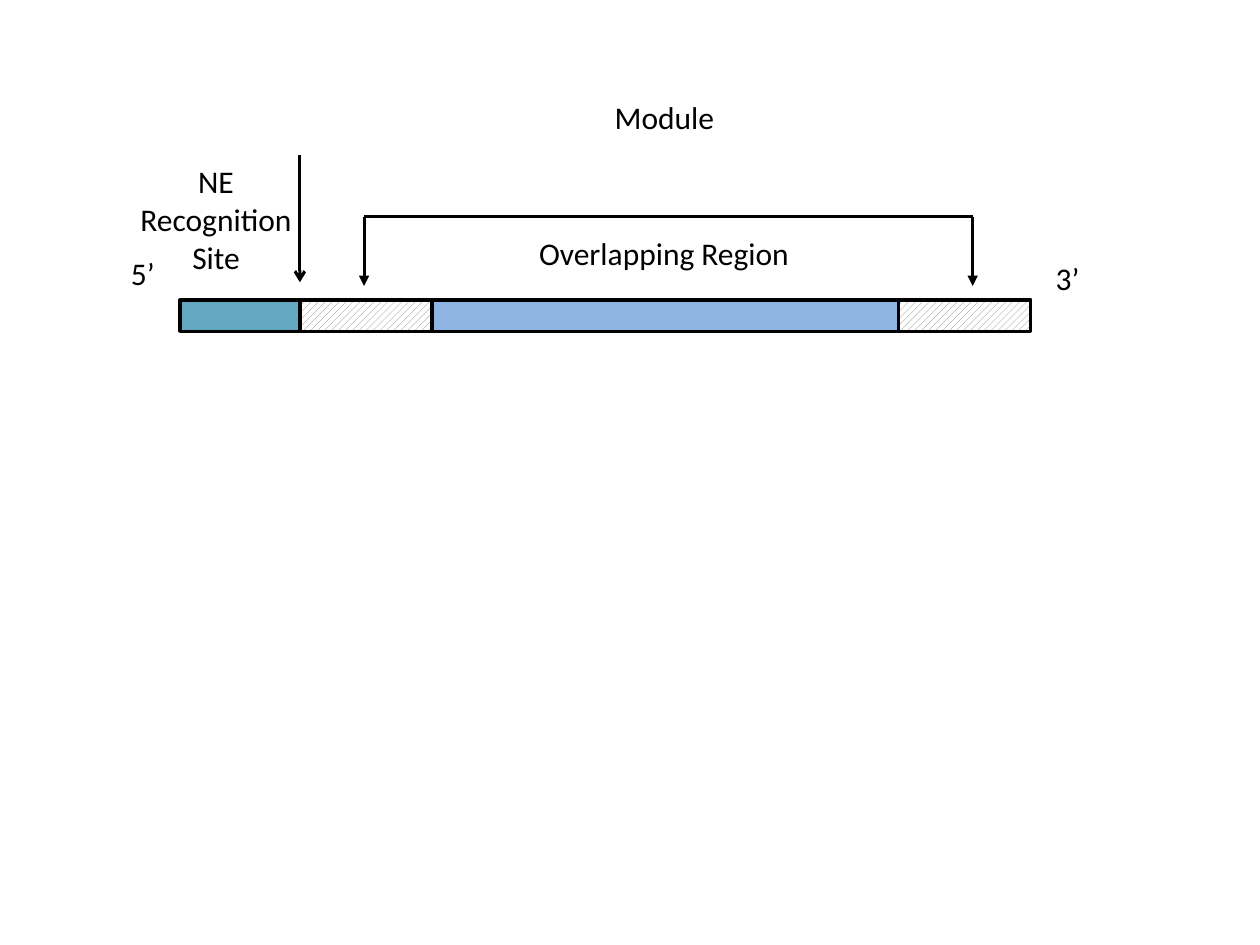
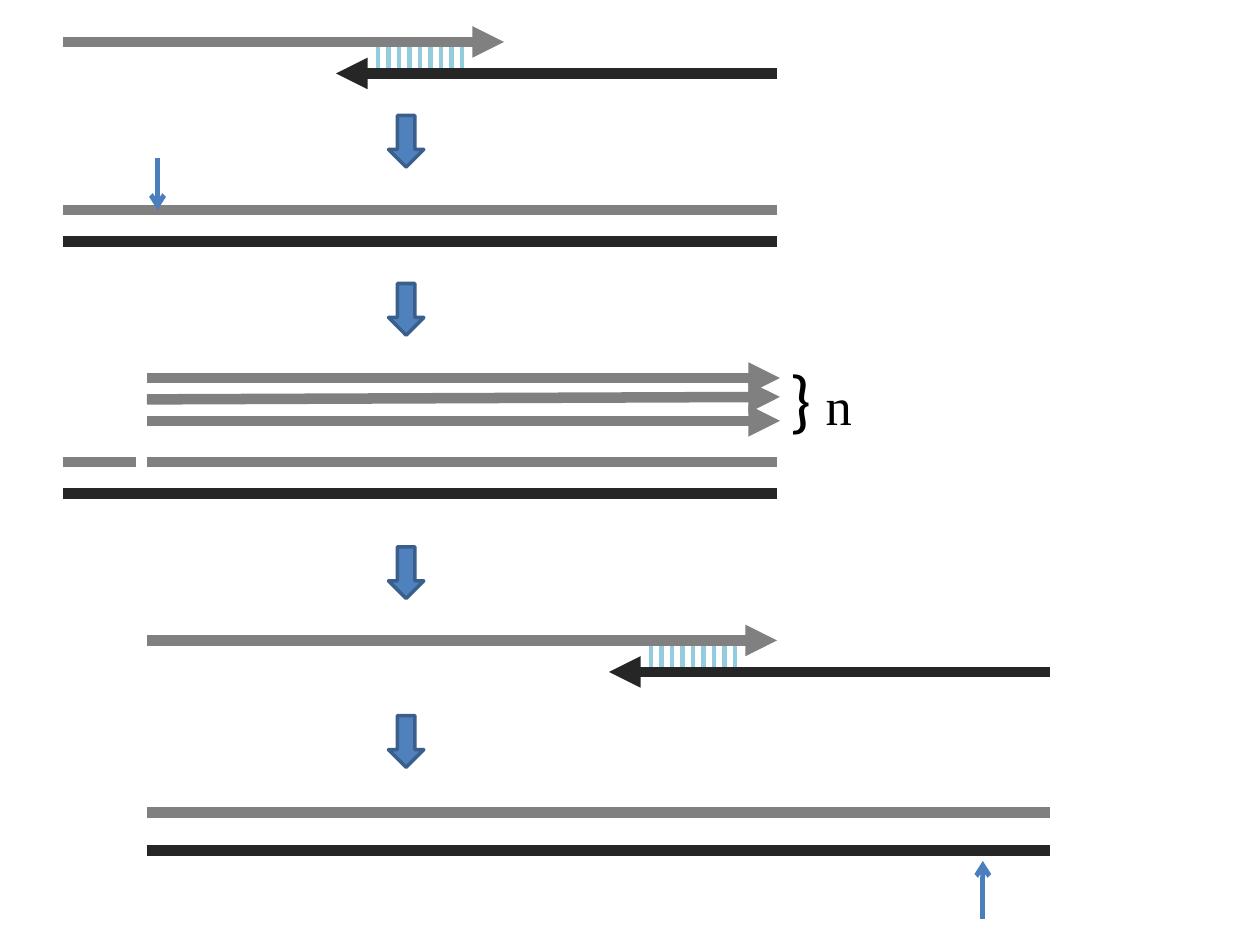
"""Build two slides on a gene module and its cyclic strand assembly."""
import dataclasses

import lxml.etree
import pptx
import pptx.dml.color
import pptx.enum.dml
import pptx.enum.shapes
import pptx.enum.text
import pptx.oxml.ns
import pptx.util


@dataclasses.dataclass(frozen=True)
class Theme:
    ink: str = "000000"
    paper: str = "FFFFFF"
    site: str = "63A8C0"
    region: str = "8EB4E3"
    sense: str = "808080"
    antisense: str = "262626"
    rung: str = "93CDDD"
    nick: str = "4B7EBC"
    step: str = "4F81BD"
    step_edge: str = "3A5F8C"
    font: str = "Calibri"
    serif: str = "Times New Roman"
    label_size: int = 18
    brace_size: int = 40
    gap_size: int = 36
    count_size: int = 30
    outline: float = 2
    pointer: float = 1.75
    strand: float = 6
    rung_width: float = 2.5
    nick_width: float = 2.75


theme = Theme()
rgb = pptx.dml.color.RGBColor.from_string
shapes = pptx.enum.shapes.MSO_SHAPE
center = pptx.enum.text.PP_ALIGN.CENTER

deck = pptx.Presentation()
deck.slide_width = pptx.util.Inches(10)
deck.slide_height = pptx.util.Inches(7.5)
columns = 120
cell = deck.slide_width / columns


def draw_line(page, start, end, color, width, head=None):
    ends = [round(value * cell) for value in (*start, *end)]
    line = page.shapes.add_connector(pptx.enum.shapes.MSO_CONNECTOR.STRAIGHT, *ends)
    line.line.color.rgb = rgb(color)
    line.line.width = pptx.util.Pt(width)
    if head:
        outline = line.line._get_or_add_ln()
        lxml.etree.SubElement(outline, pptx.oxml.ns.qn("a:tailEnd"), type=head)
    properties = line._element.spPr
    lxml.etree.SubElement(properties, pptx.oxml.ns.qn("a:effectLst"))


def write(page, place, lines, wrap=False, align=None):
    box = page.shapes.add_textbox(*[round(value * cell) for value in place])
    frame = box.text_frame
    frame.word_wrap = wrap
    frame.auto_size = pptx.enum.text.MSO_AUTO_SIZE.SHAPE_TO_FIT_TEXT
    frame.text = "\n".join(lines)
    for para in frame.paragraphs:
        para.alignment = align
        para.font.name = theme.font
        para.font.size = pptx.util.Pt(theme.label_size)
        para.font.color.rgb = rgb(theme.ink)
    return frame


page = deck.slides.add_slide(deck.slide_layouts[6])
bar_top, bar_height = 28.56, 3
site_end = 28.56
segments = [
    (17.16, 81, theme.site),
    (site_end, 69.6, None),
    (41.16, 44.4, theme.region),
]
for left, width, color in segments:
    place = [round(value * cell) for value in (left, bar_top, width, bar_height)]
    segment = page.shapes.add_shape(shapes.RECTANGLE, *place)
    segment.shadow.inherit = False
    if color:
        segment.fill.solid()
        segment.fill.fore_color.rgb = rgb(color)
    else:
        segment.fill.patterned()
        segment.fill.pattern = pptx.enum.dml.MSO_PATTERN.WIDE_UPWARD_DIAGONAL
        segment.fill.fore_color.rgb = rgb(theme.sense)
        segment.fill.back_color.rgb = rgb(theme.paper)
    segment.line.color.rgb = rgb(theme.ink)
    segment.line.width = pptx.util.Pt(theme.outline)

write(page, (57.36, 8.76, 12, 4.8), ["Module"], wrap=True)
write(page, (50.16, 21.72, 26.52, 4.8), ["Overlapping Region"])
write(page, (11.4, 14.88, 18.36, 12.12), ["NE", "Recognition Site"], wrap=True, align=center)
write(page, (11.28, 23.64, 4.68, 4.8), ["5’"])
write(page, (99.36, 24.12, 4.68, 4.8), ["3’"])

bracket_left, bracket_right, bracket_top, bracket_bottom = 34.68, 92.64, 20.64, 27.24
draw_line(page, (bracket_left, bracket_top), (bracket_right, bracket_top), theme.ink, theme.pointer)
for column in (bracket_left, bracket_right):
    draw_line(page, (column, bracket_top), (column, bracket_bottom), theme.ink, theme.pointer, "triangle")
draw_line(page, (site_end, 14.76), (site_end, 26.88), theme.ink, theme.pointer, "arrow")

page = deck.slides.add_slide(deck.slide_layouts[6])
for first_column, row in ((36, 4), (62, 61)):
    for column in range(first_column, first_column + 9):
        draw_line(page, (column, row), (column, row + 3), theme.rung, theme.rung_width)

strands = [
    (74, 7, 32, 7, theme.antisense, "triangle"),
    (6, 4, 48, 4, theme.sense, "triangle"),
    (6, 20, 74, 20, theme.sense, None),
    (6, 23, 74, 23, theme.antisense, None),
    (14, 44, 74, 44, theme.sense, None),
    (6, 47, 74, 47, theme.antisense, None),
    (6, 44, 13, 44, theme.sense, None),
    (14, 36, 74.28, 36, theme.sense, "triangle"),
    (14, 38.04, 74.28, 37.8, theme.sense, "triangle"),
    (14, 40.08, 74.28, 40.08, theme.sense, "triangle"),
    (14, 61, 74, 61, theme.sense, "triangle"),
    (100, 64, 58, 64, theme.antisense, "triangle"),
    (14, 77.4, 100, 77.4, theme.sense, None),
    (14, 81, 100, 81, theme.antisense, None),
]
for start_column, start_row, end_column, end_row, color, head in strands:
    draw_line(page, (start_column, start_row), (end_column, end_row), color, theme.strand, head)

for column, start_row, end_row in ((15, 15, 20), (93.6, 87.5, 82)):
    draw_line(page, (column, start_row), (column, end_row), theme.nick, theme.nick_width, "arrow")

count = write(page, (74, 33.24, 8.4, 9.24), ["}"])
count.vertical_anchor = pptx.enum.text.MSO_ANCHOR.MIDDLE
para = count.paragraphs[0]
for text in (" ", "n"):
    para.add_run().text = text
fonts = [
    (theme.font, theme.brace_size),
    (theme.font, theme.gap_size),
    (theme.serif, theme.count_size),
]
for span, (name, size) in zip(para.runs, fonts):
    span.font.name = name
    span.font.size = pptx.util.Pt(size)

for row in (11, 27, 52.08, 68.16):
    place = [round(value * cell) for value in (37, row, 3.36, 4.92)]
    step = page.shapes.add_shape(shapes.DOWN_ARROW, *place)
    step.shadow.inherit = False
    step.fill.solid()
    step.fill.fore_color.rgb = rgb(theme.step)
    step.line.color.rgb = rgb(theme.step_edge)
    step.line.width = pptx.util.Pt(theme.outline)

deck.save("out.pptx")
